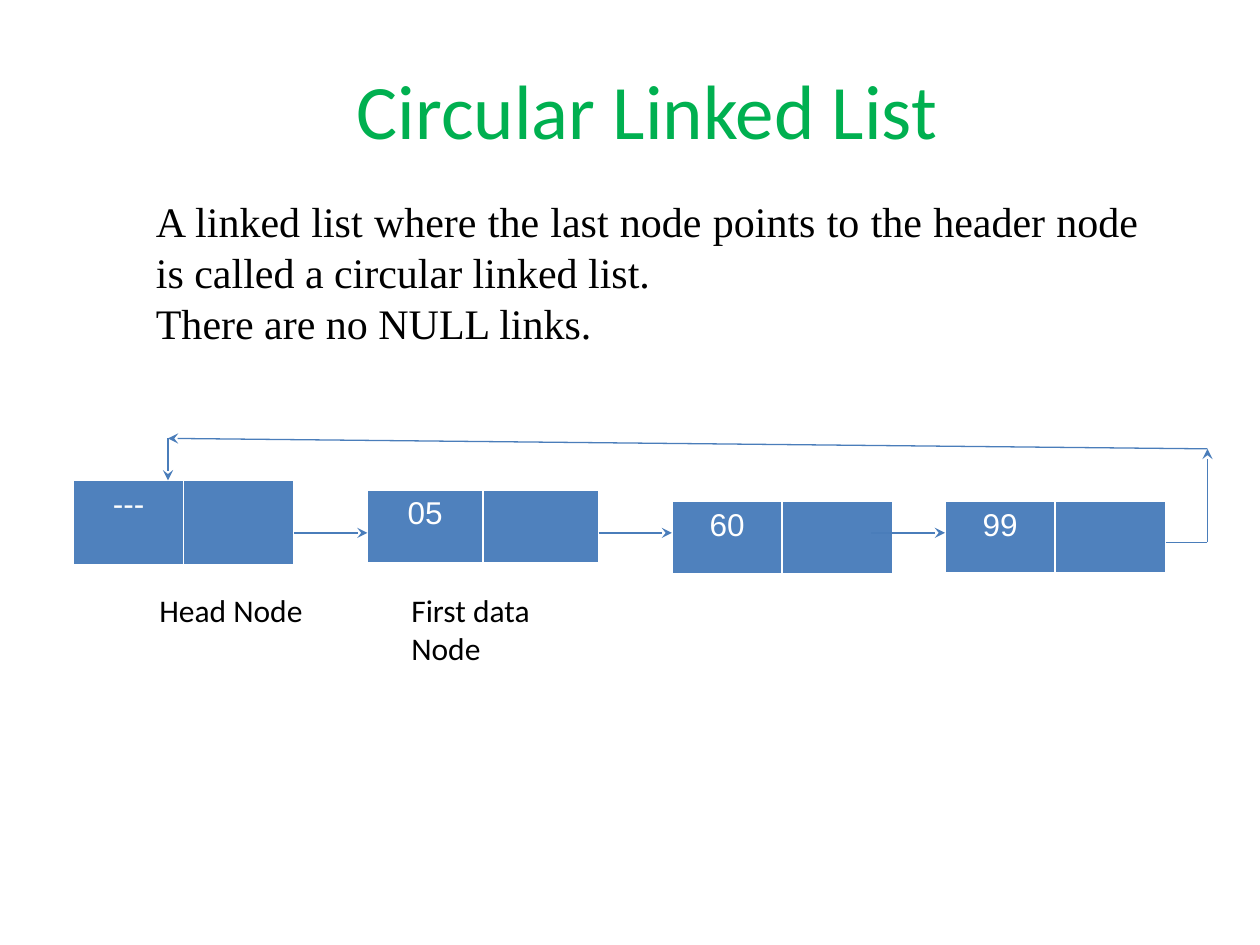
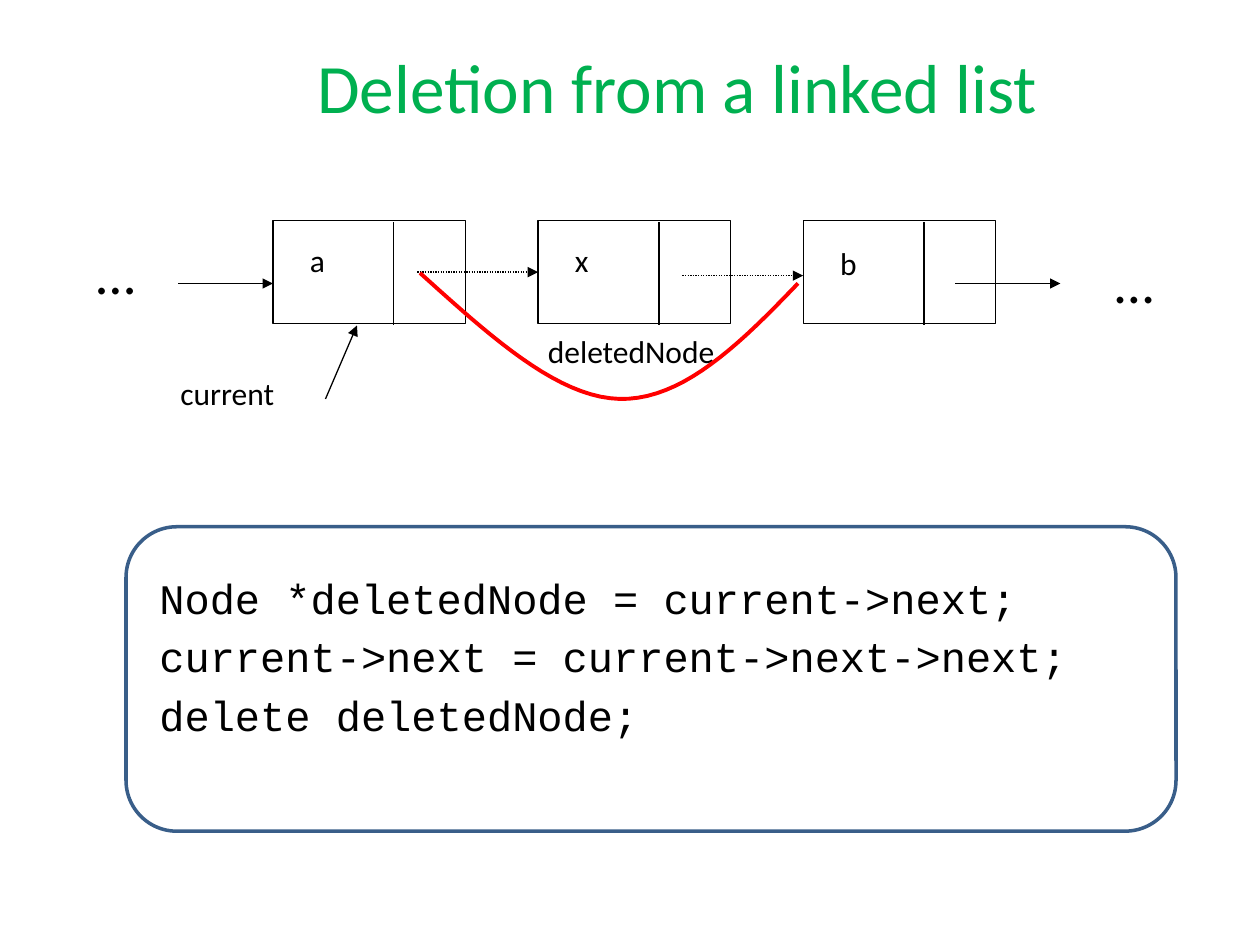
from pptx import Presentation
from pptx.dml.color import RGBColor
from pptx.enum.dml import MSO_LINE
from pptx.enum.shapes import MSO_CONNECTOR, MSO_SHAPE
from pptx.enum.text import MSO_ANCHOR, PP_ALIGN
from pptx.oxml.ns import qn
from pptx.util import Pt
from lxml.etree import SubElement

COLORS = {
    "title": "00B050", "text": "000000", "white": "FFFFFF", "node": "4F81BD",
    "link": "4A7DBA", "frame": "395E89", "bypass": "FF0000",
}
RGB = {name: RGBColor.from_string(value) for name, value in COLORS.items()}


def write(page, area, lines, size=18, font="Calibri", color="text",
          anchor=MSO_ANCHOR.TOP, **para_format):
    box = page.shapes.add_textbox(*map(Pt, area))
    frame = box.text_frame
    frame.word_wrap = True
    frame.vertical_anchor = anchor
    for index, line in enumerate(lines):
        para = frame.paragraphs[0] if index == 0 else frame.add_paragraph()
        for name, value in para_format.items():
            setattr(para, name, value)
        span = para.add_run()
        span.text = line
        for name, value in {"name": font, "size": Pt(size)}.items():
            setattr(span.font, name, value)
        span.font.color.rgb = RGB[color]


def connect(page, start, end, color="text", head=None, dash=None):
    line = page.shapes.add_connector(MSO_CONNECTOR.STRAIGHT, *map(Pt, start + end))
    line.line.color.rgb = RGB[color]
    line.line.width = Pt(0.75)
    if dash:
        line.line.dash_style = dash
    if head:
        SubElement(line.line._get_or_add_ln(), qn("a:tailEnd"), type=head)
    SubElement(line._element.spPr, qn("a:effectLst"))


deck = Presentation()
deck.slide_width, deck.slide_height = Pt(720), Pt(540)

# Both pages and their titles
titles = [
    ("Circular Linked List", (175, 34, 390, 56), 44),
    ("Deletion from a linked list", (108, 21.5, 558, 55.5), 39.6),
]
pages = []
for title, area, size in titles:
    page = deck.slides.add_slide(deck.slide_layouts[6])
    write(page, area, [title], size, color="title", anchor=MSO_ANCHOR.MIDDLE,
          alignment=PP_ALIGN.CENTER)
    pages.append(page)
circular, deletion = pages

# Circular list: nodes as one-row tables
nodes = [
    ("---", 42, 274.5, 63, 48),
    ("05", 210, 280, 66, 41.5),
    ("60", 384, 286.5, 63, 41.5),
    ("99", 540, 286.5, 63, 41),
]
for value, left, top, width, height in nodes:
    table = circular.shapes.add_table(
        1, 2, Pt(left), Pt(top), Pt(2 * width), Pt(height)).table
    for cell in table.iter_cells():
        cell.fill.solid()
        cell.fill.fore_color.rgb = RGB["node"]
    para = table.cell(0, 0).text_frame.paragraphs[0]
    para.alignment = PP_ALIGN.CENTER
    span = para.add_run()
    span.text = value
    for name, setting in {"name": "Arial", "size": Pt(18)}.items():
        setattr(span.font, name, setting)
    span.font.color.rgb = RGB["white"]

# Circular list: links to the next node, then the way back to the head
for left, following in zip((168, 342, 498), nodes[1:]):
    connect(circular, (left, 304.5), (following[1], 304.5), "link", "stealth")
way_back = [(666, 310), (690, 310), (690, 256.5), (96, 250.5), (96, 274.5)]
for index, (start, end) in enumerate(zip(way_back, way_back[1:])):
    connect(circular, start, end, "link", "stealth" if index else None)

# Circular list: captions and definition
for caption, left, height in [("Head Node", 84, 29), ("First data Node", 228, 51)]:
    write(circular, (left, 334, 108, height), [caption])
write(circular, (82, 108, 576, 94.5), [
    "A linked list where the last node points to the header node "
    "is called a circular linked list.",
    "There are no NULL links.",
], 24, "Times New Roman", alignment=PP_ALIGN.JUSTIFY, line_spacing=Pt(29))

# Deletion: code
write(deletion, (84, 324, 570, 150), [
    "Node *deletedNode = current->next;",
    "current->next = current->next->next;",
    "delete deletedNode;",
], 24, "Courier New", space_before=Pt(4.8), line_spacing=Pt(28.5))

# Deletion: nodes with a divider before the pointer field
for index, (value, label_top) in enumerate([("a", 134), ("x", 134), ("b", 136)]):
    left = 156 + 151.5 * index
    node = deletion.shapes.add_shape(
        MSO_SHAPE.RECTANGLE, Pt(left), Pt(126), Pt(110), Pt(59))
    node.shadow.inherit = False
    node.fill.solid()
    node.fill.fore_color.rgb = RGB["white"]
    node.line.color.rgb = RGB["text"]
    node.line.width = Pt(0.75)
    connect(deletion, (left + 69, 127), (left + 69, 185.5))
    write(deletion, (left + 14, label_top, 55.5, 44), [value])

# Deletion: arrows, the dotted ones being the links that go away
arrows = [
    ((238.5, 155.5), (307.5, 155.5), MSO_LINE.ROUND_DOT),
    ((390, 157.5), (459, 157.5), MSO_LINE.ROUND_DOT),
    ((102, 162), (156, 162), None),
    ((546, 162), (606, 162), None),
    ((186, 228), (204, 186), None),
]
for start, end, dash in arrows:
    connect(deletion, start, end, head="triangle", dash=dash)

# Deletion: labels
for label, area, size in [
    ("…", (48, 133, 60, 45.5), 32),
    ("…", (630, 138, 60, 45.5), 32),
    ("current", (96, 210, 108, 36), 18),
    ("deletedNode", (306, 186, 156, 29), 18),
]:
    write(deletion, area, [label], size)

# Deletion: new link from a to b, two Bezier arcs
arcs = [
    [(240, 156), (279.5, 191.5), (318, 227), (354, 228)],
    [(354, 228), (390, 229), (423.5, 196), (456, 162)],
]
steps = 20
points = []
for arc in arcs:
    for step in range(1, steps + 1):
        t = step / steps
        weights = ((1 - t) ** 3, 3 * t * (1 - t) ** 2, 3 * t * t * (1 - t), t ** 3)
        points.append([Pt(sum(w * value for w, value in zip(weights, axis)))
                       for axis in zip(*arc)])
outline = deletion.shapes.build_freeform(*map(Pt, arcs[0][0]))
outline.add_line_segments(points, close=False)
bypass = outline.convert_to_shape()

# Deletion: frame around the code
frame = deletion.shapes.add_shape(
    MSO_SHAPE.ROUNDED_RECTANGLE, Pt(72), Pt(301), Pt(600), Pt(174))
frame.adjustments[0] = 0.167
for shape, color, width in [(bypass, "bypass", 2.25), (frame, "frame", 2)]:
    shape.shadow.inherit = False
    shape.fill.background()
    shape.line.color.rgb = RGB[color]
    shape.line.width = Pt(width)

deck.save("out.pptx")
